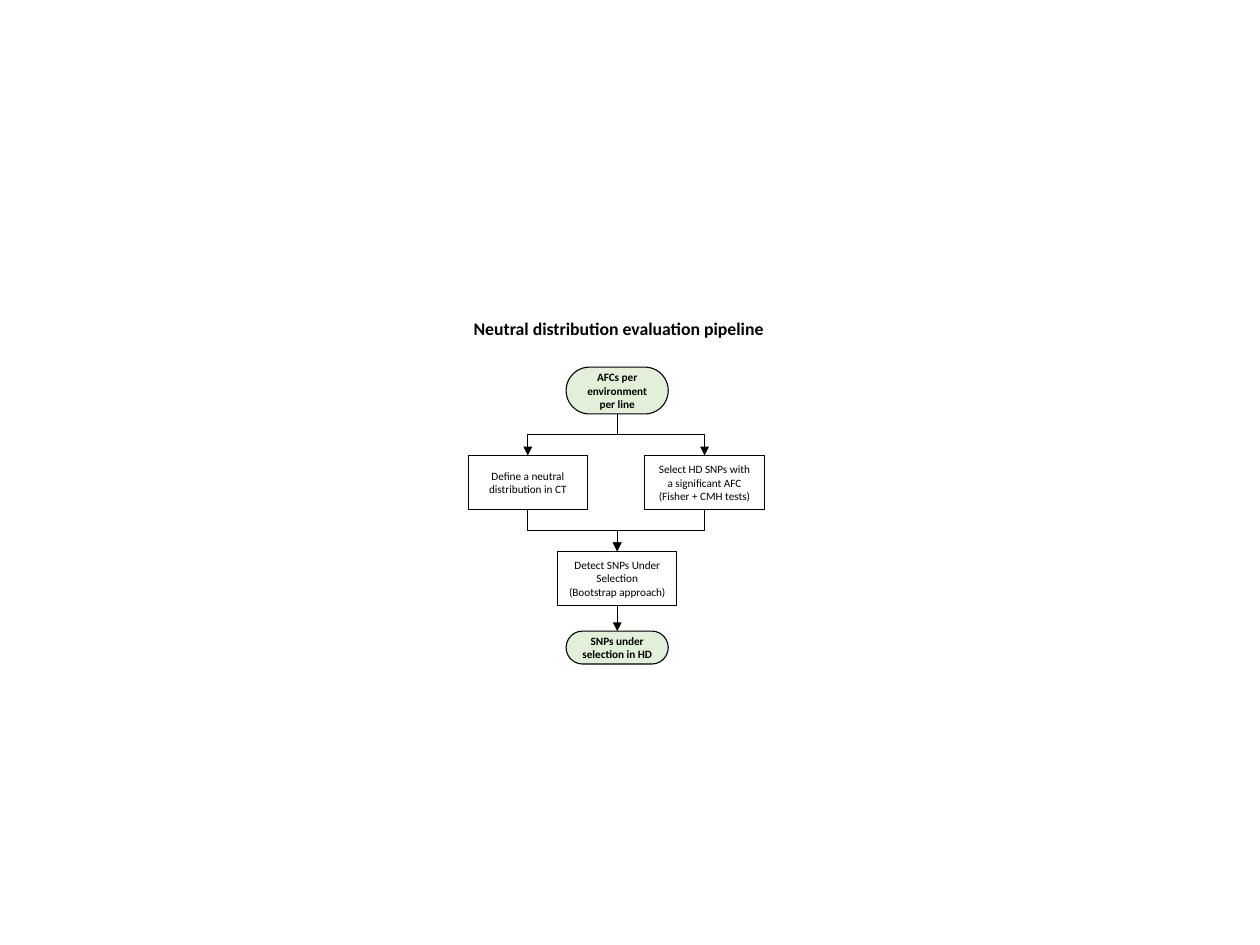
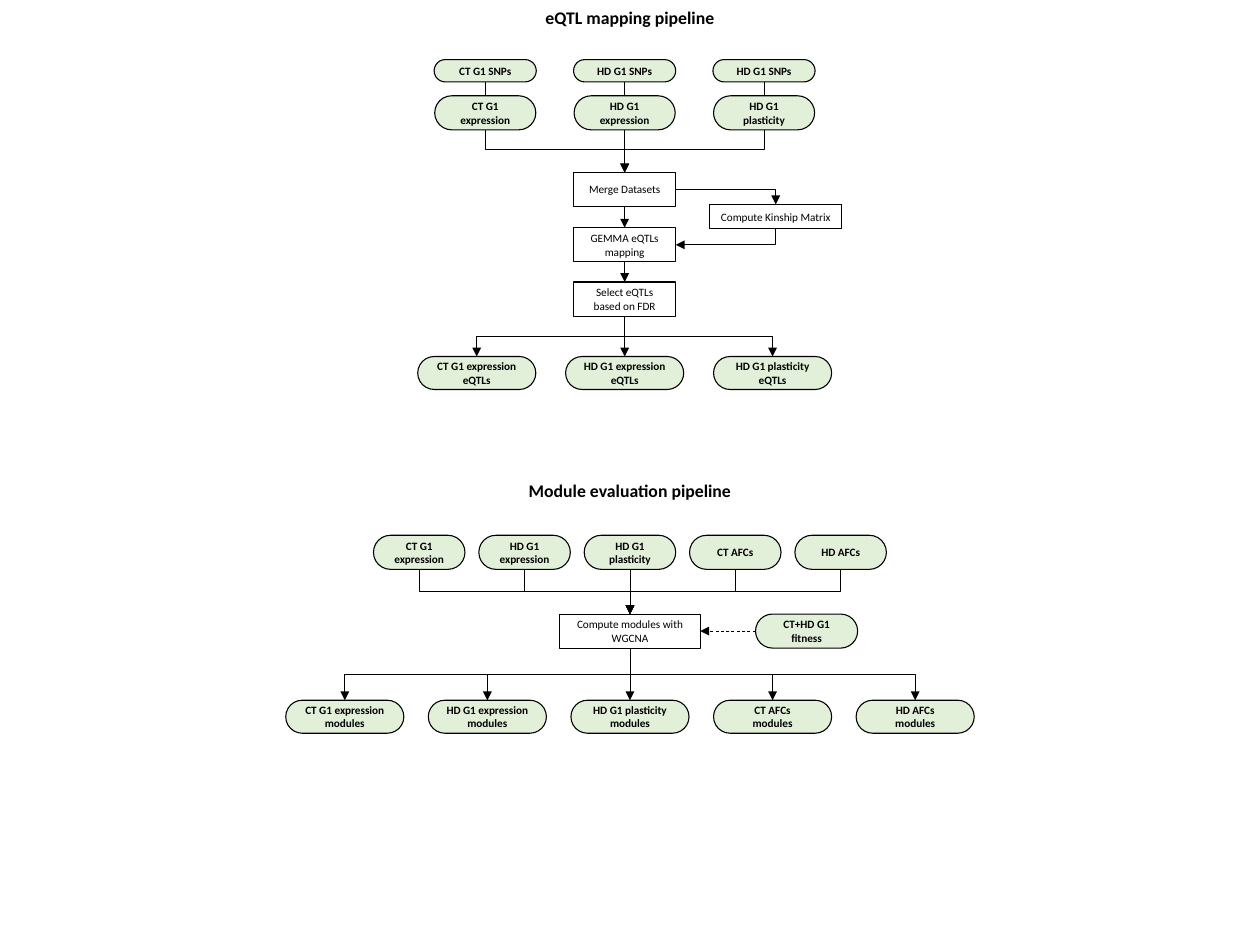
from itertools import product
from lxml.etree import SubElement as Sub
from pptx import Presentation
from pptx.dml.color import RGBColor
from pptx.enum.dml import MSO_LINE
from pptx.enum.shapes import MSO_CONNECTOR as Conn, MSO_SHAPE as Kind
from pptx.enum.text import MSO_ANCHOR, MSO_AUTO_SIZE, PP_ALIGN
from pptx.oxml.ns import qn
from pptx.util import Inches, Pt

BLACK = RGBColor(0, 0, 0)
GREEN = RGBColor(0xE2, 0xF0, 0xD9)
FONT = "Calibri"
WIDE, HIGH = 11.84, 8.88
TOP, LEFT, BASE, RIGHT = range(4)  # connection sites
DOWN = (BASE, TOP)

# Titles: text, left, top, width
# Rows: name: (data pill?, centre, step, top, width, height, texts)
# Links: source row, target row, sites, bend, dashed
SLIDES = [
    {
        "titles": [("Neutral distribution evaluation pipeline", 4.31, 2.94, 3.01)],
        "rows": {
            "afc": (True, 5.8, 0, 3.45, 0.96, 0.44,
                    ["AFCs per environment per line"]),
            "test": (False, 5.79, 1.66, 4.28, 1.12, 0.51,
                     ["Define a neutral distribution in CT",
                      "Select HD SNPs with a significant AFC (Fisher + CMH tests)"]),
            "detect": (False, 5.8, 0, 5.18, 1.12, 0.51,
                       ["Detect SNPs Under Selection\n(Bootstrap approach)"]),
            "found": (True, 5.8, 0, 5.93, 0.96, 0.31,
                      ["SNPs under selection in HD"]),
        },
        "links": [
            ("afc", "test", DOWN, 0.5, False),
            ("test", "detect", DOWN, 0.5, False),
            ("detect", "found", DOWN, 0.5, False),
        ],
    },
    {
        "titles": [("eQTL mapping pipeline", 0, 0.01, WIDE),
                   ("Module evaluation pipeline", 0, 4.46, WIDE)],
        "rows": {
            # eQTL mapping
            "snp": (True, 5.87, 1.31, 0.56, 0.96, 0.21,
                    ["CT G1 SNPs", "HD G1 SNPs", "HD G1 SNPs"]),
            "trait": (True, 5.87, 1.31, 0.9, 0.95, 0.32,
                      ["CT G1\nexpression", "HD G1\nexpression",
                       "HD G1\nplasticity"]),
            "merge": (False, 5.87, 0, 1.62, 0.96, 0.32, ["Merge Datasets"]),
            "kin": (False, 7.29, 0, 1.92, 1.24, 0.23,
                    ["Compute Kinship Matrix"]),
            "map": (False, 5.87, 0, 2.14, 0.96, 0.32, ["GEMMA eQTLs mapping"]),
            "pick": (False, 5.87, 0, 2.65, 0.96, 0.32,
                     ["Select eQTLs based on FDR"]),
            "eqtl": (True, 5.87, 1.39, 3.35, 1.11, 0.31,
                     ["CT G1 expression eQTLs", "HD G1 expression eQTLs",
                      "HD G1 plasticity eQTLs"]),
            # Module evaluation
            "input": (True, 5.92, 0.99, 5.03, 0.86, 0.32,
                      ["CT G1\nexpression", "HD G1\nexpression",
                       "HD G1\nplasticity", "CT AFCs", "HD AFCs"]),
            "wgcna": (False, 5.92, 0, 5.77, 1.32, 0.32,
                      ["Compute modules with WGCNA"]),
            "fit": (True, 7.58, 0, 5.77, 0.96, 0.32, ["CT+HD G1 fitness"]),
            "module": (True, 5.92, 1.34, 6.58, 1.11, 0.31,
                       ["CT G1 expression modules", "HD G1 expression modules",
                        "HD G1 plasticity modules", "CT AFCs\nmodules",
                        "HD AFCs\nmodules"]),
        },
        "links": [
            ("snp", "merge", DOWN, 0.75, False),
            ("merge", "map", DOWN, 0.5, False),
            ("merge", "kin", (RIGHT, TOP), 0.5, False),
            ("kin", "map", (BASE, RIGHT), 0.5, False),
            ("map", "pick", DOWN, 0.5, False),
            ("pick", "eqtl", DOWN, 0.5, False),
            ("input", "wgcna", DOWN, 0.5, False),
            ("fit", "wgcna", (LEFT, RIGHT), 0.5, True),
            ("wgcna", "module", DOWN, 0.5, False),
        ],
    },
]


def write(shape, text, size, bold):
    frame = shape.text_frame
    frame.word_wrap = True
    frame.auto_size = MSO_AUTO_SIZE.NONE
    frame.vertical_anchor = MSO_ANCHOR.MIDDLE
    frame.margin_top = frame.margin_bottom = 0
    for i, line in enumerate(text.split("\n")):
        para = frame.add_paragraph() if i else frame.paragraphs[0]
        para.alignment = PP_ALIGN.CENTER
        run = para.add_run()
        run.text = line
        font = run.font
        font.name, font.size, font.bold = FONT, Pt(size), bold
        font.color.rgb = BLACK


def add_title(slide, first, text, left, top, width):
    if first:
        box = slide.shapes.title
    else:
        box = slide.shapes.add_textbox(0, 0, 0, 0)
    box.left, box.top = Inches(left), Inches(top)
    box.width, box.height = Inches(width), Inches(0.3)
    write(box, text, 12, True)


def add_row(slide, pill, mid, step, top, width, height, texts):
    start = mid - step * (len(texts) - 1) / 2 - width / 2
    nodes = []
    for i, text in enumerate(texts):
        node = slide.shapes.add_shape(
            Kind.ROUNDED_RECTANGLE, Inches(start + i * step), Inches(top),
            Inches(width), Inches(height))
        node.adjustments[0] = 0.5 if pill else 0
        node.shadow.inherit = False
        if pill:
            node.fill.solid()
            node.fill.fore_color.rgb = GREEN
        else:
            node.fill.background()
        node.line.color.rgb = BLACK
        node.line.width = Pt(0.75)
        write(node, text, 7.6, pill)
        nodes.append(node)
    return nodes


def site(node, side):
    across = {LEFT: 0, RIGHT: 2}.get(side, 1)
    down = {TOP: 0, BASE: 2}.get(side, 1)
    return (node.left + node.width * across // 2,
            node.top + node.height * down // 2)


def add_link(slide, src, dst, sides, bend, dashed):
    (x1, y1), (x2, y2) = site(src, sides[0]), site(dst, sides[1])
    dx, dy = x2 - x1, y2 - y1
    flat = min(abs(dx), abs(dy)) < Inches(0.01)
    link = slide.shapes.add_connector(
        Conn.STRAIGHT if flat else Conn.ELBOW, x1, y1, x2, y2)
    link.begin_connect(src, sides[0])
    link.end_connect(dst, sides[1])
    props = link._element.spPr
    if not flat:
        geom = props.find(qn("a:prstGeom"))
        if sides == DOWN:
            guides = geom.find(qn("a:avLst"))
            if guides is None:
                guides = Sub(geom, qn("a:avLst"))
            Sub(guides, qn("a:gd"), name="adj1", fmla=f"val {int(bend * 100000)}")
        else:
            geom.set("prst", "bentConnector2")
        if sides[0] == BASE:  # leave downwards: turn the frame by a quarter
            link.left = (x1 + x2 - dy) // 2
            link.top = (y1 + y2 - abs(dx)) // 2
            link.width, link.height = dy, abs(dx)
            frame = props.find(qn("a:xfrm"))
            frame.set("rot", str((270 if dx > 0 else 90) * 60000))
            frame.set("flipH", "1" if dx > 0 else "0")
    link.line.color.rgb = BLACK
    link.line.width = Pt(0.5)
    if dashed:
        link.line.dash_style = MSO_LINE.DASH
    Sub(props.find(qn("a:ln")), qn("a:tailEnd"), type="triangle")
    Sub(props, qn("a:effectLst"))
    slide.shapes._spTree.insert(2, link._element)  # behind the nodes


def main():
    prs = Presentation()
    prs.slide_width, prs.slide_height = Inches(WIDE), Inches(HIGH)
    for data in SLIDES:
        slide = prs.slides.add_slide(prs.slide_layouts[5])
        for i, title in enumerate(data["titles"]):
            add_title(slide, i == 0, *title)
        rows = {name: add_row(slide, *row) for name, row in data["rows"].items()}
        for src, dst, *look in data["links"]:
            for pair in product(rows[src], rows[dst]):
                add_link(slide, *pair, *look)
    prs.save("out.pptx")


if __name__ == "__main__":
    main()
